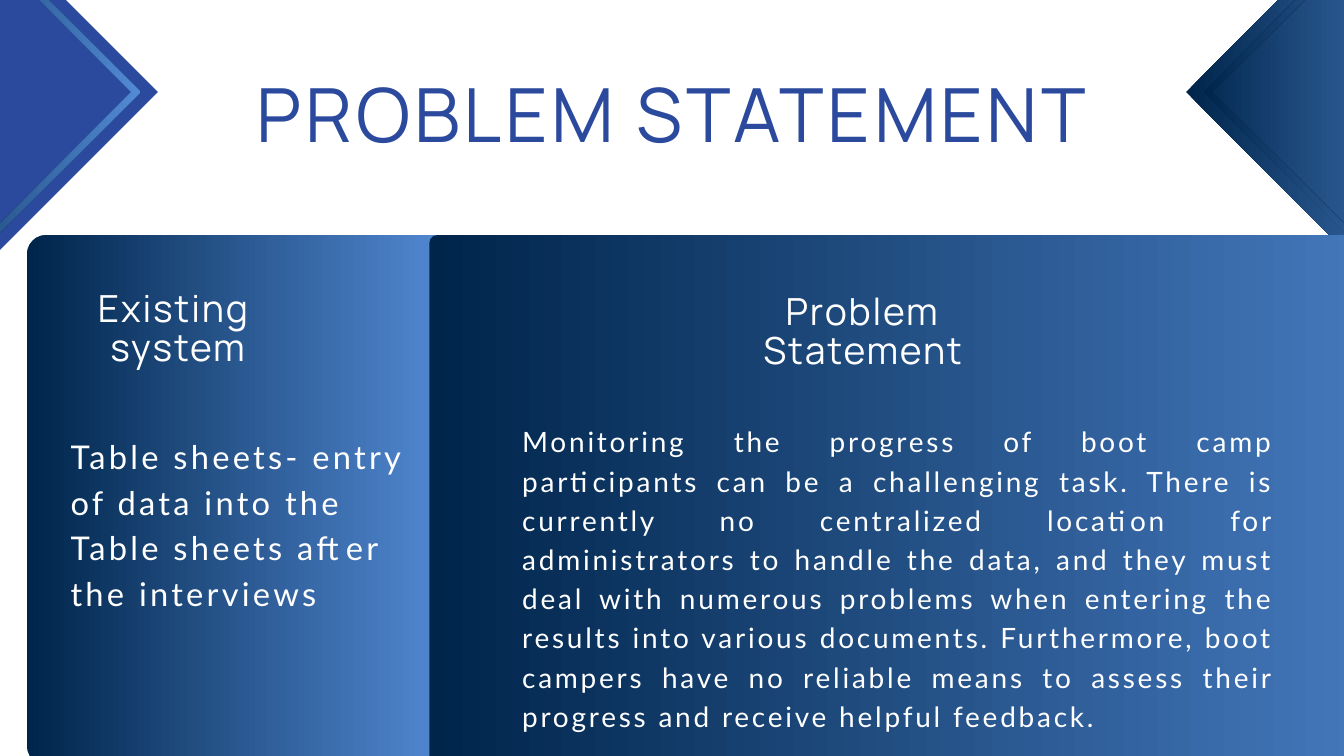
import pptx
import pptx.dml.color
import pptx.enum.shapes
import pptx.enum.text
import pptx.oxml.xmlchemy
import pptx.util
from pptx.util import Inches

BLUE, NAVY, SKY, WHITE = "2B4A9D", "00254B", "538AD4", "FFFFFF"
ALIGN = pptx.enum.text.PP_ALIGN
SHAPES = pptx.enum.shapes.MSO_SHAPE


def color(value):
    return pptx.dml.color.RGBColor.from_string(value)


def write(shape, *lines, font, size, line_height, spacing, ink=WHITE, align=ALIGN.CENTER):
    """Fill a shape with one paragraph per line, without margins or bullets."""
    frame = shape.text_frame
    frame.word_wrap = True
    frame.auto_size = pptx.enum.text.MSO_AUTO_SIZE.NONE
    frame.vertical_anchor = pptx.enum.text.MSO_ANCHOR.TOP
    frame.margin_left = frame.margin_top = frame.margin_right = frame.margin_bottom = 0
    for index, line in enumerate(lines):
        paragraph = frame.add_paragraph() if index else frame.paragraphs[0]
        properties = paragraph._p.get_or_add_pPr()
        properties.set("marL", "0")
        properties.set("indent", "0")
        properties.append(pptx.oxml.xmlchemy.OxmlElement("a:buNone"))
        paragraph.alignment = align
        paragraph.line_spacing = pptx.util.Pt(line_height)
        paragraph.space_before = pptx.util.Pt(0)
        run = paragraph.add_run()
        run.text = line
        run.font.name = font
        run.font.size = pptx.util.Pt(size)
        run.font.color.rgb = color(ink)
        run._r.get_or_add_rPr().set("spc", str(round(spacing * 100)))


class SlideBuilder:
    """Holds the slide and its fonts, and adds each kind of element."""

    heading_font = "Manrope"
    body_font = "Lato"

    def __init__(self, presentation):
        self.slide = presentation.slides.add_slide(presentation.slide_layouts[3])
        self.shapes = self.slide.shapes

    def paint(self, shape, fill=None):
        """Use a solid fill, or the navy-to-sky gradient when none is given."""
        shape.shadow.inherit = False
        shape.line.fill.background()
        if fill:
            shape.fill.solid()
            shape.fill.fore_color.rgb = color(fill)
            return
        shape.fill.gradient()
        shape.fill.gradient_angle = 0
        for stop, value in zip(shape.fill.gradient_stops, (NAVY, SKY)):
            stop.color.rgb = color(value)

    def diamond(self, x, y, radius, fill=None):
        shape = self.shapes.add_shape(
            SHAPES.DIAMOND, Inches(x - radius), Inches(y - radius),
            Inches(2 * radius), Inches(2 * radius))
        self.paint(shape, fill)

    def diamond_frame(self, x, y, outer, inner):
        def corners(radius, turn):
            steps = ((-1, 0), (0, turn), (1, 0), (0, -turn))
            return [(Inches(x + dx * radius), Inches(y + dy * radius)) for dx, dy in steps]

        outline, hole = corners(outer, 1), corners(inner, -1)
        builder = self.shapes.build_freeform(*outline[0])
        builder.add_line_segments(outline[1:], close=True)
        builder.move_to(*hole[0])
        builder.add_line_segments(hole[1:], close=True)
        self.paint(builder.convert_to_shape())

    def panel(self, left, top, width, height, radius):
        shape = self.shapes.add_shape(
            SHAPES.ROUNDED_RECTANGLE, Inches(left), Inches(top), Inches(width), Inches(height))
        shape.adjustments[0] = radius / min(width, height)
        self.paint(shape)

    def placeholder(self, index, left, top, width, height):
        """Move a template placeholder into place, in front of the panels."""
        shape = self.slide.placeholders[index]
        shape.left, shape.top = Inches(left), Inches(top)
        shape.width, shape.height = Inches(width), Inches(height)
        self.shapes._spTree.append(shape._element)
        return shape

    def title(self, text, *box):
        write(self.placeholder(0, *box), text, font=self.heading_font, size=80,
              line_height=84, spacing=4, ink=BLUE)

    def body(self, index, text, *box, **style):
        write(self.placeholder(index, *box), text, font=self.body_font, **style)

    def heading(self, lines, *box):
        shape = self.shapes.add_textbox(*map(Inches, box))
        write(shape, *lines, font=self.heading_font, size=40, line_height=42, spacing=2)


def main():
    presentation = pptx.Presentation()
    presentation.slide_width, presentation.slide_height = Inches(20), Inches(11.25)
    builder = SlideBuilder(presentation)

    # Corner diamonds
    for x, fill in ((-0.04, BLUE), (20.04, None)):
        builder.diamond(x, 1.37, 2.39, fill)
        builder.diamond_frame(x, 1.37, outer=2.13, inner=2)

    # Panels running off the lower and right edges
    builder.panel(0.4, 3.5, 6.33, 7.88, radius=0.28)
    builder.panel(6.39, 3.5, 16.99, 7.88, radius=0.11)

    # Title
    builder.title("PROBLEM STATEMENT", 1.62, 1.18, 16.76, 1.3)

    # Existing system
    builder.heading(["Existing ", "system"], 0.42, 4.33, 4.45, 1.21)
    builder.body(1, "Table sheets- entry of data into the Table sheets after the interviews",
                 1.05, 6.4, 5.05, 2.69,
                 size=35, line_height=49, spacing=3.5, align=ALIGN.LEFT)

    # Problem statement
    builder.heading(["Problem Statement"], 10.36, 4.37, 4.96, 1.21)
    builder.body(2, "Monitoring the progress of boot camp participants can be a challenging task. "
                 "There is currently no centralized location for administrators to handle the data, "
                 "and they must deal with numerous problems when entering the results into various "
                 "documents. Furthermore, boot campers have no reliable means to assess their "
                 "progress and receive helpful feedback.",
                 7.77, 6.24, 11.2, 4.66,
                 size=30, line_height=42, spacing=3, align=ALIGN.JUSTIFY)

    presentation.save("out.pptx")


if __name__ == "__main__":
    main()
